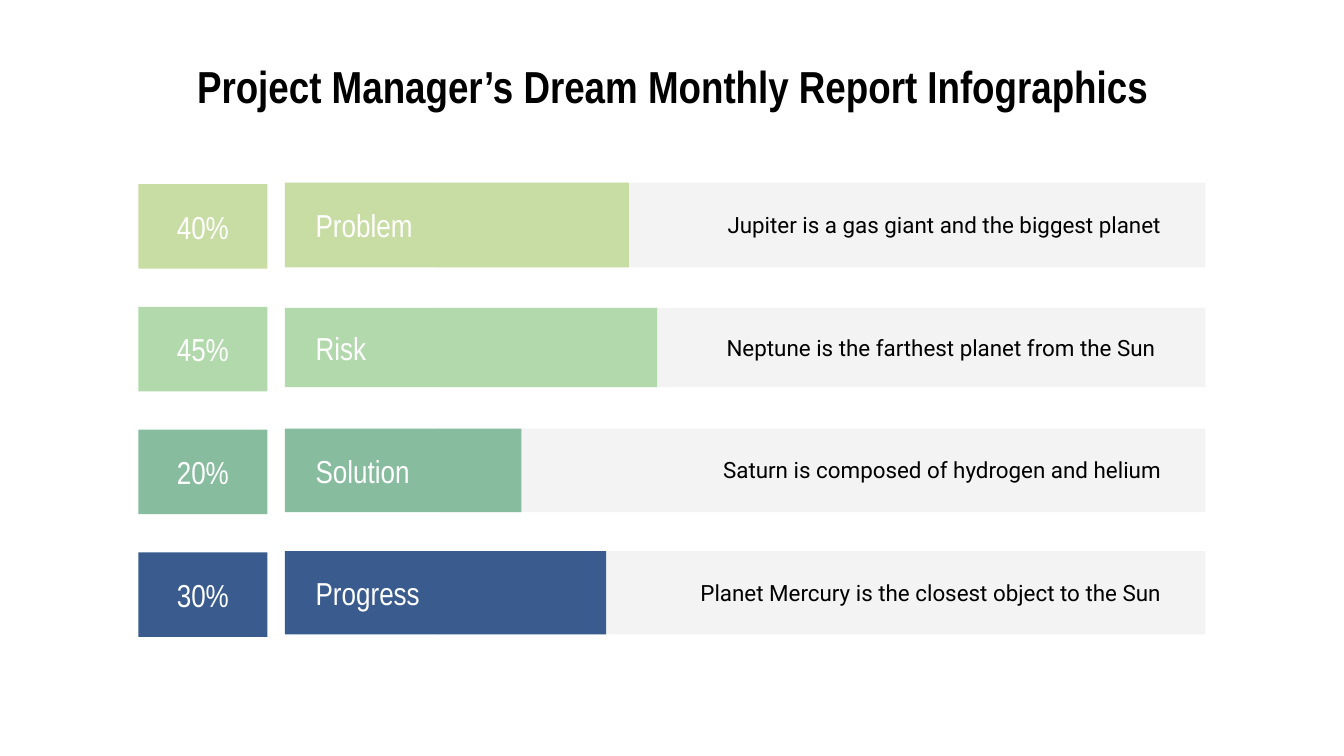
from pptx import Presentation
from pptx.dml.color import RGBColor
from pptx.enum.shapes import MSO_SHAPE
from pptx.enum.text import MSO_ANCHOR, PP_ALIGN
from pptx.util import Inches, Pt

BLACK = RGBColor(0x00, 0x00, 0x00)
WHITE = RGBColor(0xFF, 0xFF, 0xFF)
TRACK_GRAY = RGBColor(0xF3, 0xF3, 0xF3)
LIME = RGBColor(0xC8, 0xDD, 0xA4)
LIGHT_GREEN = RGBColor(0xB2, 0xD9, 0xAB)
SEA_GREEN = RGBColor(0x87, 0xBC, 0x9E)
NAVY = RGBColor(0x39, 0x5B, 0x8E)

HEADING_FONT = "Arial Narrow"
BODY_FONT = "Roboto"

# Row grid: four rows, the last one 2.74 inches below the first
FIRST_ROW_TOP = 1.37
ROW_STEP = 2.74 / 3
BADGE_HEIGHT = 0.63
BAR_LEFT = 2.12
TRACK_LEFT = 3.24
TRACK_WIDTH = 5.73

# Percentage, label, description, colour, bar width, bar top, bar height
ROWS = [
    ("40%", "Problem", "Jupiter is a gas giant and the biggest planet", LIME, 2.56, 1.36, 0.63),
    ("45%", "Risk", "Neptune is the farthest planet from the Sun ", LIGHT_GREEN, 2.77, 2.29, 0.59),
    ("20%", "Solution", "Saturn is composed of hydrogen and helium", SEA_GREEN, 1.76, 3.19, 0.62),
    ("30%", "Progress", "Planet Mercury is the closest object to the Sun", NAVY, 2.39, 4.1, 0.62),
]


class ReportSlide:
    """Holds the text style and the slide being built."""

    def __init__(self, slide):
        self.slide = slide

    def add_text(self, shape, text, size, font, color, alignment,
                 bold=False, anchor=MSO_ANCHOR.MIDDLE):
        frame = shape.text_frame
        frame.word_wrap = True
        frame.vertical_anchor = anchor
        frame.margin_left = frame.margin_right = Inches(0.1)
        frame.margin_top = frame.margin_bottom = Inches(0.1)
        paragraph = frame.paragraphs[0]
        paragraph.alignment = alignment
        run = paragraph.add_run()
        run.text = text
        run.font.size = Pt(size)
        run.font.name = font
        run.font.bold = bold
        run.font.color.rgb = color

    def rectangle(self, left, top, width, height, color):
        shape = self.slide.shapes.add_shape(
            MSO_SHAPE.RECTANGLE, Inches(left), Inches(top), Inches(width), Inches(height))
        shape.shadow.inherit = False
        shape.fill.solid()
        shape.fill.fore_color.rgb = color
        shape.line.fill.background()
        return shape

    def text_box(self, left, top, width, height, *text_style, **options):
        box = self.slide.shapes.add_textbox(
            Inches(left), Inches(top), Inches(width), Inches(height))
        self.add_text(box, *text_style, **options)

    def badge(self, top, percentage, color):
        shape = self.rectangle(1.03, top, 0.96, BADGE_HEIGHT, color)
        self.add_text(shape, percentage, 17, HEADING_FONT, WHITE, PP_ALIGN.CENTER)


def main():
    # Widescreen slide, 16:9
    presentation = Presentation()
    presentation.slide_width = Inches(10)
    presentation.slide_height = Inches(10) * 9 // 16
    report = ReportSlide(presentation.slides.add_slide(presentation.slide_layouts[6]))

    # Title
    report.text_box(0.2, 0.34, 9.61, 0.63,
                    "Project Manager’s Dream Monthly Report Infographics",
                    24, HEADING_FONT, BLACK, PP_ALIGN.CENTER,
                    bold=True, anchor=MSO_ANCHOR.TOP)

    # Progress rows
    for index, row in enumerate(ROWS):
        percentage, label, description, color, bar_width, bar_top, bar_height = row
        row_top = FIRST_ROW_TOP + index * ROW_STEP
        report.rectangle(TRACK_LEFT, bar_top, TRACK_WIDTH, bar_height, TRACK_GRAY)
        report.rectangle(BAR_LEFT, bar_top, bar_width, bar_height, color)
        report.text_box(2.25, bar_top, 1.08, bar_height,
                        label, 17, HEADING_FONT, WHITE, PP_ALIGN.LEFT)
        report.text_box(4.98, row_top + 0.01, 3.76, 0.58,
                        description, 12, BODY_FONT, BLACK, PP_ALIGN.RIGHT)
        report.badge(row_top, percentage, color)

    presentation.save("out.pptx")


if __name__ == "__main__":
    main()
